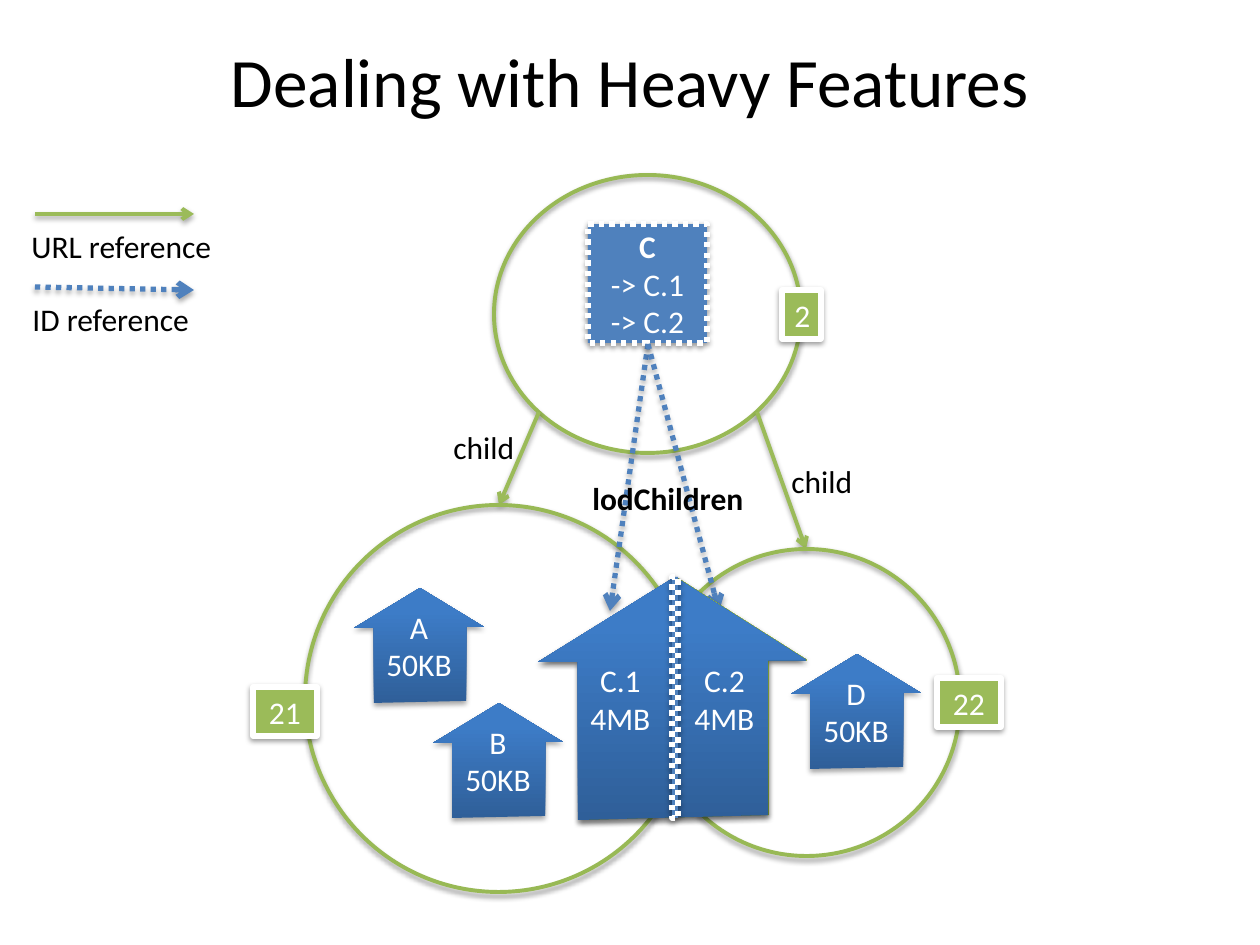
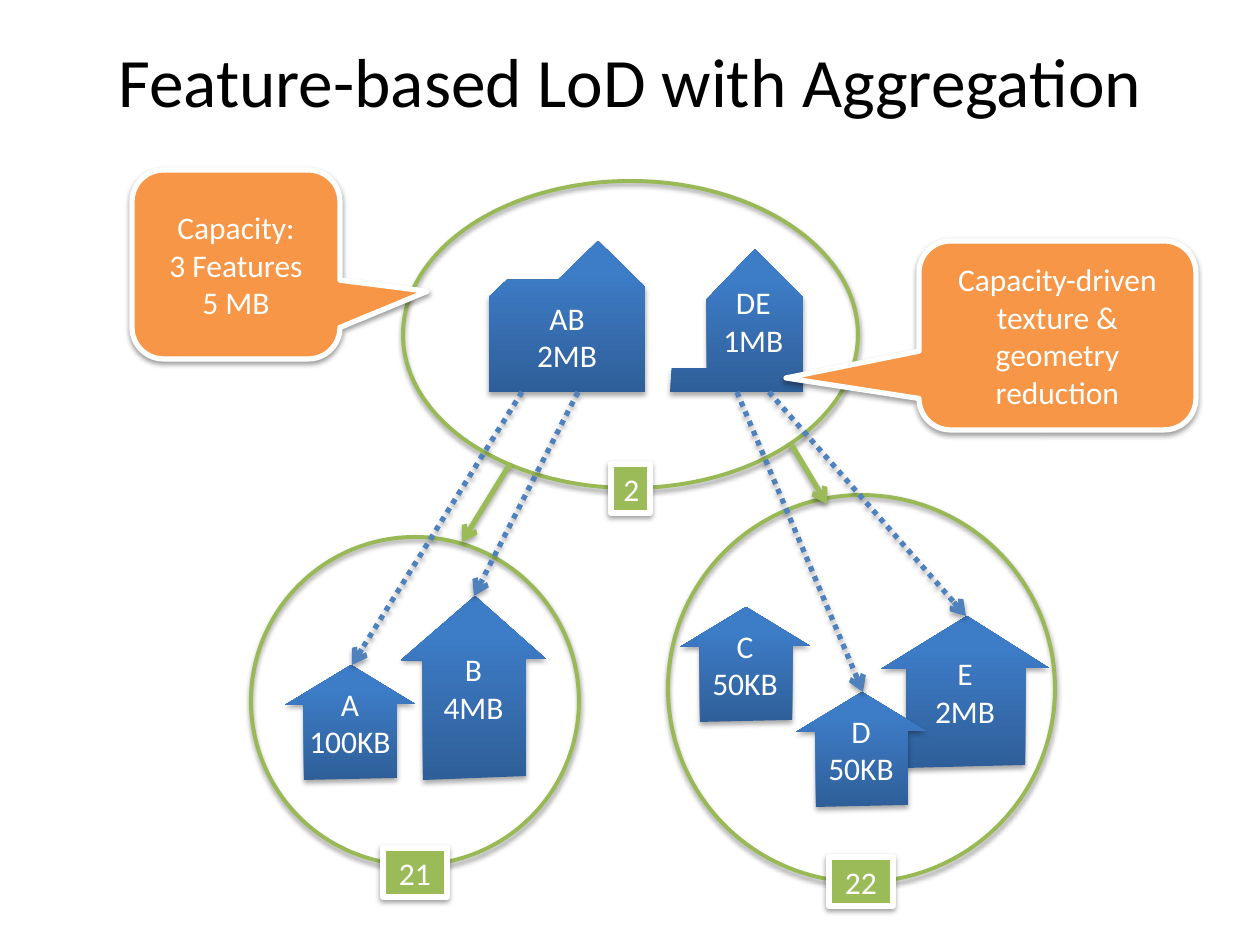
from lxml.etree import SubElement
from pptx import Presentation
from pptx.dml.color import RGBColor
from pptx.enum.dml import MSO_LINE
from pptx.enum.shapes import MSO_CONNECTOR, MSO_SHAPE
from pptx.enum.text import MSO_ANCHOR, PP_ALIGN
from pptx.oxml.ns import qn
from pptx.util import Emu, Pt

SCALE = 914400 / 126
FONT = "Calibri"
BLACK = RGBColor(0, 0, 0)
WHITE = RGBColor(255, 255, 255)
BLUE = RGBColor(0x4F, 0x81, 0xBD)
GREEN = RGBColor(0x9B, 0xBB, 0x59)
RING = RGBColor(0x98, 0xB9, 0x55)
ORANGE = RGBColor(0xF7, 0x96, 0x46)
NAVY = (RGBColor(0x2F, 0x5F, 0x99), RGBColor(0x3D, 0x7C, 0xC7))
MOSS = (RGBColor(0x77, 0x97, 0x37), RGBColor(0x9B, 0xC3, 0x48))
SMALL = (130, 115)
ROOF = [(0.15, 1), (0.15, 0.35), (0, 0.35), (0.51, 0),
        (1, 0.34), (0.86, 0.34), (0.86, 0.98)]


def px(*sizes):
    return [Emu(round(size * SCALE)) for size in sizes]


def shade(shape, alpha=38, drop=1.6):
    props = shape._element.spPr
    for old in props.findall(qn("a:effectLst")):
        props.remove(old)
    glow = SubElement(SubElement(props, qn("a:effectLst")), qn("a:outerShdw"),
                      blurRad=str(Pt(3.1)), dist=str(Pt(drop)),
                      dir="5400000", rotWithShape="0")
    tint = SubElement(glow, qn("a:srgbClr"), val="000000")
    SubElement(tint, qn("a:alpha"), val=str(alpha * 1000))


def write(shape, text, color=WHITE, align=PP_ALIGN.CENTER, size=18, bold=False):
    frame = shape.text_frame
    frame.text = text
    for para in frame.paragraphs:
        para.alignment = align
        font = para.font
        font.name, font.size, font.bold = FONT, Pt(size), bold
        font.color.rgb = color
    return frame


def title(slide, text):
    box = slide.shapes.add_textbox(*px(63, 38, 1134, 158))
    frame = write(box, text, BLACK, size=39.6)
    frame.word_wrap = True
    frame.margin_top = 0


def label(slide, x, y, wide, text, bold=False):
    box = slide.shapes.add_textbox(*px(x, y, wide, 50))
    write(box, text, BLACK, PP_ALIGN.LEFT, bold=bold).word_wrap = False


def block(slide, kind, area, fill, text="", edge=WHITE, width=3, dots=False):
    shape = slide.shapes.add_shape(kind, *px(*area))
    if fill is None:
        shape.fill.background()
    else:
        shape.fill.solid()
        shape.fill.fore_color.rgb = fill
    shape.line.color.rgb = edge
    shape.line.width = Pt(width)
    if dots:
        shape.line.dash_style = MSO_LINE.ROUND_DOT
    shade(shape)
    if text:
        write(shape, text).vertical_anchor = MSO_ANCHOR.MIDDLE
    return shape


def ring(slide, *area):
    block(slide, MSO_SHAPE.OVAL, area, None, edge=RING, width=2.25)


def badge(slide, x, y, text):
    wide = 39 if len(text) == 1 else 64
    block(slide, MSO_SHAPE.RECTANGLE, (x, y, wide, 49), GREEN, text)


def callout(slide, area, tip, text):
    shape = block(slide, MSO_SHAPE.ROUNDED_RECTANGULAR_CALLOUT, area, ORANGE, text)
    for spot, value in enumerate((*tip, 0.167)):
        shape.adjustments[spot] = value


def arrow(slide, start, end, color=GREEN, width=2.25, dots=False):
    link = slide.shapes.add_connector(MSO_CONNECTOR.STRAIGHT, *px(*start, *end))
    link.line.color.rgb = color
    link.line.width = Pt(width)
    if dots:
        link.line.dash_style = MSO_LINE.ROUND_DOT
    SubElement(link.line._get_or_add_ln(), qn("a:tailEnd"), type="arrow")
    shade(link, 35, 1.8)


def dotted(slide, start, end):
    arrow(slide, start, end, BLUE, 3, True)


def outline(slide, points, text="", tones=NAVY):
    pen = slide.shapes.build_freeform(*points[0], scale=SCALE)
    pen.add_line_segments(points[1:], close=True)
    shape = pen.convert_to_shape()
    shape.fill.gradient()
    shape.fill.gradient_angle = 90
    for stop, tone, place in zip(shape.fill.gradient_stops, tones, (0, 0.8)):
        stop.color.rgb = tone
        stop.position = place
    shape.line.fill.background()
    shade(shape, 35, 1.8)
    frame = write(shape, text)
    frame.vertical_anchor = MSO_ANCHOR.MIDDLE
    return frame


def house(slide, x, y, text="", size=SMALL, tones=NAVY):
    wide, high = size
    points = [(round(x + a * wide), round(y + b * high)) for a, b in ROOF]
    return outline(slide, points, text, tones)


def tabs(frame, *stops):
    for para in frame.paragraphs:
        para.alignment = PP_ALIGN.LEFT
        props = para._p.get_or_add_pPr()
        row = props.makeelement(qn("a:tabLst"))
        props.insert(0, row)
        for stop in px(*stops):
            SubElement(row, qn("a:tab"), pos=str(stop), algn="ctr")


def heavy(slide):
    title(slide, "Dealing with Heavy Features")
    for x, y, name in ((354, 588, "A"), (433, 703, "B"), (791, 654, "D")):
        house(slide, x, y, name + "\n50KB")
    ring(slide, 494, 175, 307, 278)
    badge(slide, 782, 290, "2")
    arrow(slide, (757, 412), (806, 549))
    arrow(slide, (539, 412), (499, 505))
    ring(slide, 305, 505, 387, 387)
    ring(slide, 653, 549, 307, 307)
    badge(slide, 253, 687, "21")
    badge(slide, 937, 678, "22")
    root = block(slide, MSO_SHAPE.RECTANGLE, (588, 224, 119, 119), BLUE,
                 "C\n-> C.1\n-> C.2", dots=True)
    root.text_frame.paragraphs[0].font.bold = True
    for x in (610, 719):
        dotted(slide, (648, 344), (x, 611))
    label(slide, 779, 456, 87, "child")
    label(slide, 441, 422, 87, "child")
    label(slide, 580, 473, 178, "lodChildren", True)
    house(slide, 539, 577, size=(268, 243), tones=MOSS)
    halves = house(slide, 538, 577, "\tC.1\tC.2\n\t4MB\t4MB", (268, 243))
    tabs(halves, 70, 174)
    block(slide, MSO_SHAPE.RECTANGLE, (672, 577, 6, 241), BLUE, dots=True)
    arrow(slide, (35, 214), (194, 214))
    label(slide, 19, 221, 208, "URL reference")
    dotted(slide, (35, 287), (194, 290))
    label(slide, 20, 294, 184, "ID reference")


def merged(slide):
    ring(slide, 251, 537, 328, 328)
    ring(slide, 668, 495, 387, 387)
    house(slide, 285, 665, "A\n100KB")
    house(slide, 401, 596, "B\n4MB", (145, 184))
    house(slide, 881, 616, "E\n2MB", (168, 152))
    house(slide, 680, 607, "C\n50KB")
    house(slide, 796, 692, "D\n50KB")
    ring(slide, 403, 181, 455, 307)
    badge(slide, 611, 464, "2")
    badge(slide, 383, 848, "21")
    badge(slide, 829, 857, "22")
    title(slide, "Feature-based LoD with Aggregation")
    arrow(slide, (510, 464), (462, 542), width=3)
    arrow(slide, (791, 444), (827, 504), width=3)
    pair = outline(slide, [(489, 392), (645, 392), (645, 287), (598, 241),
                           (558, 280), (507, 280), (489, 297)], "AB\n2MB")
    pair.margin_top = px(46)[0]
    tower = outline(slide, [(670, 392), (803, 392), (803, 297), (755, 249),
                            (707, 299), (707, 368), (672, 368)], "DE\n1MB")
    tower.margin_left = px(46)[0]
    for x, end in ((522, (352, 665)), (578, (474, 596)),
                   (737, (863, 692)), (769, (966, 616))):
        dotted(slide, (x, 392), end)
    callout(slide, (919, 241, 277, 189), (-0.98, 0.225),
            "Capacity-driven texture & geometry reduction")
    callout(slide, (132, 170, 208, 189), (0.92, 0.142),
            "Capacity:\n3 Features\n5 MB")


def main():
    deck = Presentation()
    deck.slide_width, deck.slide_height = px(1260, 945)
    for draw in (heavy, merged):
        draw(deck.slides.add_slide(deck.slide_layouts[6]))
    deck.save("out.pptx")


main()
